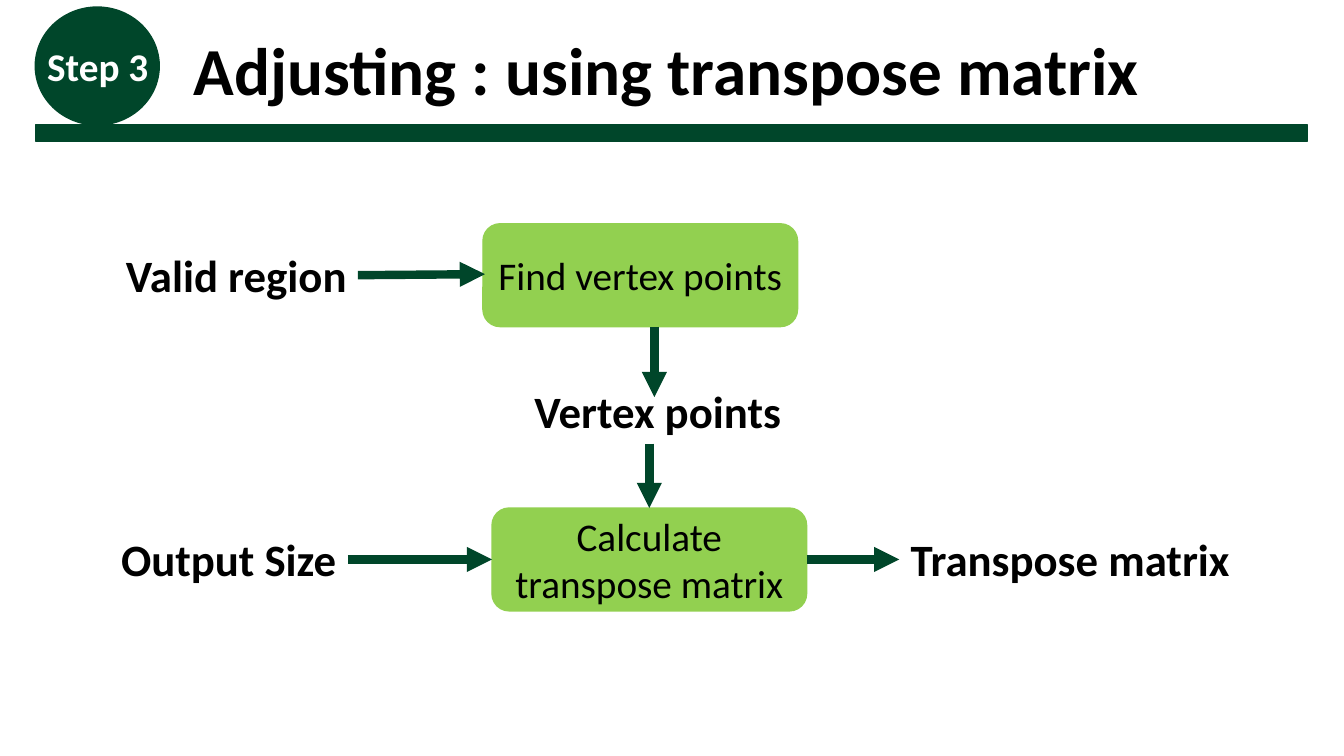
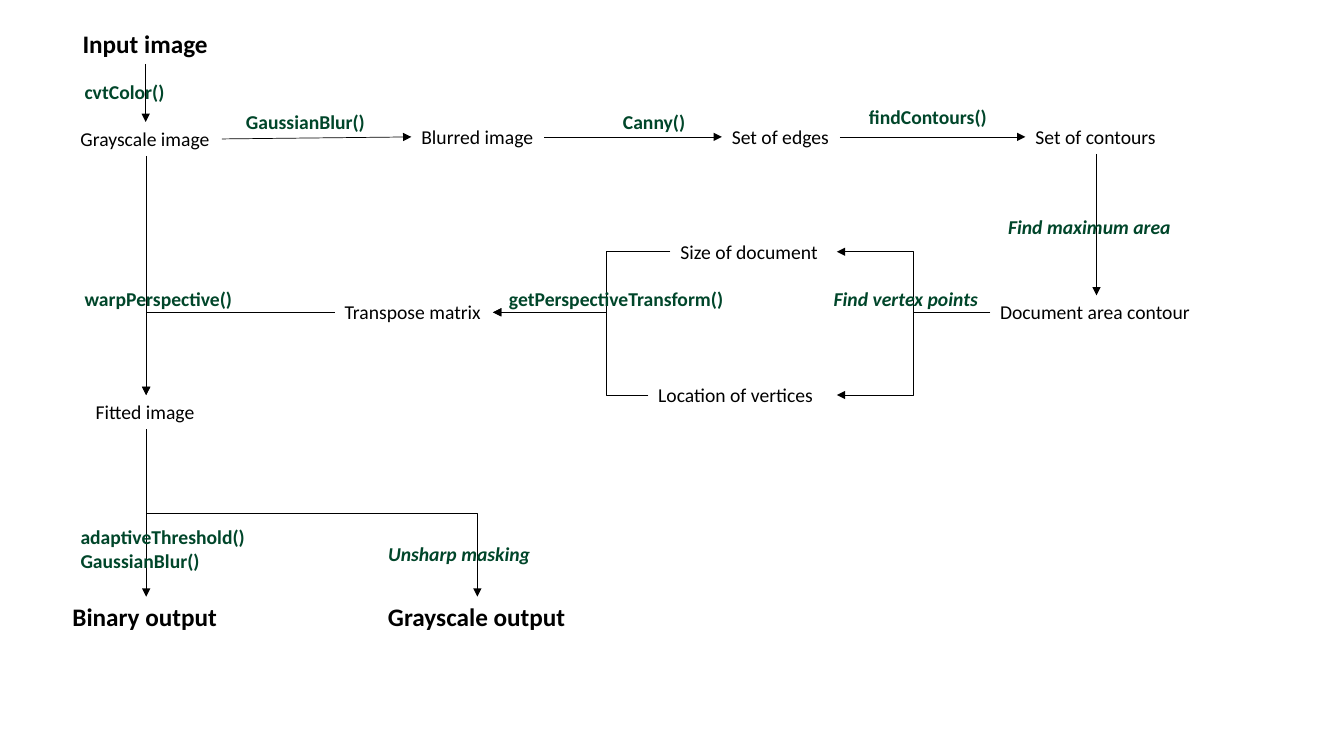
from dataclasses import dataclass

from lxml import etree
from pptx import Presentation
from pptx.dml.color import RGBColor
from pptx.enum import shapes, text
from pptx.oxml.ns import qn
from pptx.util import Inches, Pt


# Theme
@dataclass(frozen=True)
class Theme:
    font: str = "Calibri"
    green: RGBColor = RGBColor(0x00, 0x46, 0x2A)
    lime: RGBColor = RGBColor(0x92, 0xD0, 0x50)
    black: RGBColor = RGBColor(0, 0, 0)
    white: RGBColor = RGBColor(255, 255, 255)
    thick: float = 6
    thin: float = 0.5


THEME = Theme()
STYLES = {
    "title": dict(size=48, bold=True, color=THEME.black),
    "badge": dict(size=28, bold=True, color=THEME.white),
    "step": dict(size=28, color=THEME.black),
    "data": dict(size=32, bold=True, color=THEME.black),
    "endpoint": dict(size=18, bold=True, color=THEME.black),
    "stage": dict(size=14, color=THEME.black),
    "call": dict(size=14, bold=True, color=THEME.green),
    "action": dict(size=14, bold=True, italic=True, color=THEME.green),
}

# Slide 1 content: lengths in inches
BADGE = ("Step 3", 0.37, 0.37, 1.22)
TITLE = ("Adjusting : using transpose matrix", 1.82, 0.23, 9.68)
STEP_SIZE = (3.12, 1.02)
STEPS = [("Find vertex points", 4.79, 2.22),
         ("Calculate transpose matrix", 4.88, 5.04)]
DATA = [("Valid region", 1.14, 2.41, 2.41),
        ("Vertex points", 5.19, 3.76, 2.67),
        ("Output Size", 1.09, 5.23, 2.36),
        ("Transpose matrix", 8.92, 5.23, 3.39)]
STEP_ARROWS = [((3.55, 2.73), (4.81, 2.72)),
               ((6.49, 3.24), (6.49, 3.94)),
               ((6.44, 4.4), (6.44, 5.04)),
               ((3.45, 5.55), (4.88, 5.55)),
               ((8, 5.55), (8.92, 5.55))]

# Slide 2 content: name -> left, top, width, style
NODES = {
    "Input image": (0.72, 0.23, 1.45, "endpoint"),
    "Grayscale image": (0.7, 1.21, 1.5, "stage"),
    "Blurred image": (4.08, 1.19, 1.32, "stage"),
    "Set of edges": (7.16, 1.19, 1.17, "stage"),
    "Set of contours": (10.17, 1.19, 1.41, "stage"),
    "Document area contour": (9.82, 2.93, 2.1, "stage"),
    "Size of document": (6.65, 2.33, 1.65, "stage"),
    "Location of vertices": (6.43, 3.75, 1.87, "stage"),
    "Transpose matrix": (3.32, 2.93, 1.57, "stage"),
    "Fitted image": (0.85, 3.92, 1.2, "stage"),
    "Binary output": (0.62, 5.92, 1.65, "endpoint"),
    "Grayscale output": (3.75, 5.92, 1.97, "endpoint"),
}
WRAPPED = {"Size of document", "Location of vertices"}
RIGHTWARD = ["Grayscale image", "Blurred image", "Set of edges", "Set of contours"]
DOWNWARD = [("Input image", "Grayscale image"),
            ("Grayscale image", "Fitted image"),
            ("Fitted image", "Binary output"),
            ("Set of contours", "Document area contour")]
# From, to, share of the way before the bend
LEFTWARD = [("Document area contour", "Size of document", 0.5),
            ("Document area contour", "Location of vertices", 0.5),
            ("Size of document", "Transpose matrix", 0.36),
            ("Location of vertices", "Transpose matrix", 0.27)]
OPERATIONS = [
    ("cvtColor()", 0.74, 0.74, 1, "call"),
    ("GaussianBlur()", 2.34, 1.04, 1.39, "call"),
    ("Canny()", 6.08, 1.04, 0.82, "call"),
    ("findContours()", 8.52, 0.99, 1.38, "call"),
    ("Find maximum area", 9.9, 2.08, 1.83, "action"),
    ("Find vertex points", 8.17, 2.8, 1.64, "action"),
    ("getPerspectiveTransform()", 4.95, 2.8, 2.34, "call"),
    ("warpPerspective()", 0.74, 2.8, 1.68, "call"),
    ("adaptiveThreshold()\nGaussianBlur()", 0.7, 5.16, 1.85, "call"),
    ("Unsharp masking", 3.75, 5.33, 1.62, "action"),
]


# Drawing helpers
def write(frame, words, style, align):
    frame.text = words
    for paragraph in frame.paragraphs:
        paragraph.alignment = align
        values = dict(STYLES[style], name=THEME.font)
        paragraph.font.color.rgb = values.pop("color")
        values["size"] = Pt(values["size"])
        for key, value in values.items():
            setattr(paragraph.font, key, value)


def box_height(style, lines=1):
    return lines * STYLES[style]["size"] * 1.22 / 72 + 0.1


def add_label(slide, words, left, top, width, style,
              align=text.PP_ALIGN.LEFT, wrap=False):
    height = box_height(style, words.count("\n") + 1)
    frame = slide.shapes.add_textbox(*map(Inches, (left, top, width, height))).text_frame
    frame.word_wrap = wrap
    frame.auto_size = text.MSO_AUTO_SIZE.SHAPE_TO_FIT_TEXT
    write(frame, words, style, align)


def add_block(slide, kind, box, color):
    block = slide.shapes.add_shape(kind, *map(Inches, box))
    block.shadow.inherit = False
    block.fill.solid()
    block.fill.fore_color.rgb = block.line.color.rgb = color
    block.line.width = Pt(1)
    return block


def add_arrow(slide, start, end, color, width, kind=shapes.MSO_CONNECTOR.STRAIGHT):
    arrow = slide.shapes.add_connector(kind, *map(Inches, (*start, *end)))
    arrow.line.color.rgb = color
    arrow.line.width = Pt(width)
    properties = arrow.element.spPr
    etree.SubElement(properties.find(qn("a:ln")), qn("a:tailEnd"), type="triangle")
    etree.SubElement(properties, qn("a:effectLst"))
    return arrow


def add_elbow(slide, start, end, bend=0.5):
    arrow = add_arrow(slide, start, end, THEME.black, THEME.thin,
                      shapes.MSO_CONNECTOR.ELBOW)
    guides = arrow.element.spPr.find(qn("a:prstGeom")).get_or_add_avLst()
    etree.SubElement(guides, qn("a:gd"), name="adj1", fmla=f"val {round(bend * 100000)}")


def add_corner(slide, start, end):
    """Across first, then down."""
    arrow = add_arrow(slide, start, end, THEME.black, THEME.thin,
                      shapes.MSO_CONNECTOR.ELBOW)
    arrow.element.spPr.find(qn("a:prstGeom")).set("prst", "bentConnector2")


def add_drop_elbow(slide, start, end):
    """Down, across and down: a mirrored elbow turned by 270 degrees."""
    (x1, y1), (x2, y2) = start, end
    middle_x, middle_y = (x1 + x2) / 2, (y1 + y2) / 2
    half_w, half_h = (y2 - y1) / 2, (x2 - x1) / 2
    arrow = add_arrow(slide, (middle_x + half_w, middle_y - half_h),
                      (middle_x - half_w, middle_y + half_h),
                      THEME.black, THEME.thin, shapes.MSO_CONNECTOR.ELBOW)
    arrow.element.spPr.find(qn("a:xfrm")).set("rot", str(270 * 60000))


def site(name, side):
    left, top, width, style = NODES[name]
    height = box_height(style)
    across, down = {"left": (0, 0.5), "right": (1, 0.5),
                    "top": (0.5, 0), "bottom": (0.5, 1)}[side]
    return left + across * width, top + down * height


# Slides
def build_step(slide):
    kinds = shapes.MSO_SHAPE
    add_block(slide, kinds.RECTANGLE, (0.35, 1.24, 12.62, 0.16), THEME.green)
    add_block(slide, kinds.OVAL, (0.35, 0.07, 1.23, 1.17), THEME.green)
    add_label(slide, *BADGE, "badge")
    add_label(slide, *TITLE, "title")
    for words, left, top in STEPS:
        step = add_block(slide, kinds.ROUNDED_RECTANGLE, (left, top, *STEP_SIZE), THEME.lime)
        step.text_frame.vertical_anchor = text.MSO_ANCHOR.MIDDLE
        write(step.text_frame, words, "step", text.PP_ALIGN.CENTER)
    for label in DATA:
        add_label(slide, *label, "data", text.PP_ALIGN.CENTER)
    for start, end in STEP_ARROWS:
        add_arrow(slide, start, end, THEME.green, THEME.thick)


def build_pipeline(slide):
    for name, place in NODES.items():
        add_label(slide, name, *place, wrap=name in WRAPPED)
    for source, target in zip(RIGHTWARD, RIGHTWARD[1:]):
        add_arrow(slide, site(source, "right"), site(target, "left"),
                  THEME.black, THEME.thin)
    for source, target in DOWNWARD:
        x, y = site(source, "bottom")
        add_arrow(slide, (x, y), (x, site(target, "top")[1]), THEME.black, THEME.thin)
    for source, target, bend in LEFTWARD:
        add_elbow(slide, site(source, "left"), site(target, "right"), bend)
    add_corner(slide, site("Transpose matrix", "left"), site("Fitted image", "top"))
    add_drop_elbow(slide, site("Fitted image", "bottom"), site("Grayscale output", "top"))
    for operation in OPERATIONS:
        add_label(slide, *operation)


def main():
    deck = Presentation()
    deck.slide_width, deck.slide_height = Inches(13.33), Inches(7.5)
    for build in (build_step, build_pipeline):
        build(deck.slides.add_slide(deck.slide_layouts[6]))
    deck.save("out.pptx")


if __name__ == "__main__":
    main()
